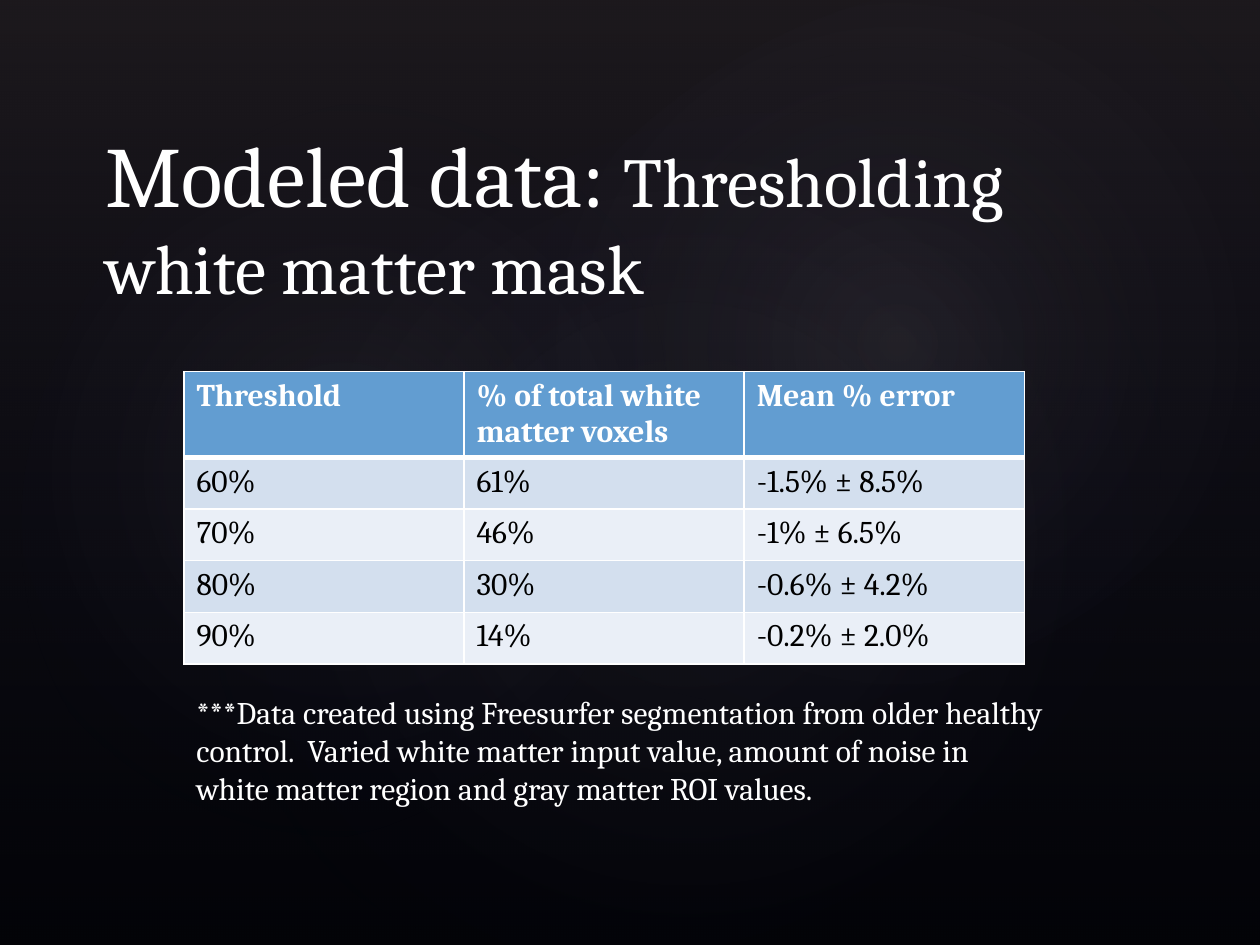
from dataclasses import dataclass

from lxml.etree import SubElement
from pptx import Presentation
from pptx.dml.color import RGBColor
from pptx.enum.shapes import MSO_SHAPE as Shape
from pptx.enum.text import MSO_ANCHOR as Anchor, MSO_AUTO_SIZE as AutoSize
from pptx.oxml import parse_xml
from pptx.oxml.ns import nsdecls, qn
from pptx.util import Inches, Pt


@dataclass(frozen=True)
class Theme:
    """Colours, font and type sizes of the slide."""
    font: str = "Cambria"
    backdrop: str = "000000"
    shade: str = "504652"
    navy: str = "242852"
    glow: str = "C4BCC6"
    light: str = "FFFFFF"
    dark: str = "000000"
    header: str = "629DD1"
    bands: tuple = ("D3DFEE", "EAEFF7")
    title: int = 49
    subtitle: int = 40
    body: int = 18


THEME = Theme()
LINEAR = '<a:lin ang="5400000" scaled="0"/>'
RADIAL = ('<a:path path="circle"><a:fillToRect l="50000" t="50000" '
          'r="50000" b="50000"/></a:path>')
GLOWS = [
    ((1.5, 1.14, 7.92, 6.24), 328.7, 7),
    ((-0.3, 1.28, 6.06, 4.9), 294.3, 8),
    ((3.58, 0.13, 7.09, 5.2), 328.7, 8),
]
RESULTS = [
    ("Threshold", "% of total white matter voxels", "Mean % error"),
    ("60%", "61%", "-1.5% ± 8.5%"),
    ("70%", "46%", "-1% ± 6.5%"),
    ("80%", "30%", "-0.6% ± 4.2%"),
    ("90%", "14%", "-0.2% ± 2.0%"),
]
FOOTNOTE = [
    "***Data created using Freesurfer segmentation from older healthy",
    "control.  Varied white matter input value, amount of noise in",
    "white matter region and gray matter ROI values.",
]


def add_run(paragraph, text, size, color=THEME.light, bold=False):
    """Append one formatted run."""
    run = paragraph.add_run()
    run.text = text
    run.font.name = THEME.font
    run.font.size = Pt(size)
    run.font.bold = bold
    run.font.color.rgb = RGBColor.from_string(color)


def add_wash(slide, preset, place, stops, direction, rotation=0):
    """Add a translucent gradient shape; stops are (position, colour, opacity)."""
    wash = slide.shapes.add_shape(preset, *map(Inches, place))
    wash.rotation = rotation
    wash.shadow.inherit = False
    wash.line.fill.background()
    wash.fill.gradient()
    stop_xml = "".join(
        f'<a:gs pos="{position * 1000}"><a:srgbClr val="{color}">'
        f'<a:alpha val="{opacity * 1000}"/></a:srgbClr></a:gs>'
        for position, color, opacity in stops)
    gradient = parse_xml(f'<a:gradFill {nsdecls("a")} rotWithShape="1">'
                         f'<a:gsLst>{stop_xml}</a:gsLst>{direction}</a:gradFill>')
    properties = wash._element.spPr
    properties.replace(properties.find(qn("a:gradFill")), gradient)


def add_backdrop(slide):
    """Paint the dark background with its soft glows."""
    fill = slide.background.fill
    fill.solid()
    fill.fore_color.rgb = RGBColor.from_string(THEME.backdrop)
    add_wash(slide, Shape.RECTANGLE, (0, 0, 10, 7.5),
             [(0, THEME.shade, 36), (100, THEME.navy, 10)], LINEAR)
    for place, rotation, opacity in GLOWS:
        add_wash(slide, Shape.OVAL, place,
                 [(0, THEME.glow, opacity), (58, THEME.navy, 0)],
                 RADIAL, rotation)


def set_borders(cell, top, bottom):
    """Draw white cell borders, with top and bottom widths in points."""
    properties = cell._tc.get_or_add_tcPr()
    widths = {"lnL": 1, "lnR": 1, "lnT": top, "lnB": bottom}
    for order, (side, width) in enumerate(widths.items()):
        border = SubElement(properties, qn(f"a:{side}"), w=str(Pt(width)))
        fill = SubElement(border, qn("a:solidFill"))
        SubElement(fill, qn("a:srgbClr"), val=THEME.light)
        properties.insert(order, border)


def add_results(slide):
    """Add the banded table of threshold results."""
    frame = slide.shapes.add_table(len(RESULTS), len(RESULTS[0]), Inches(1.46),
                                   Inches(2.95), Inches(6.67), Inches(2.32))
    table = frame.table
    for index, values in enumerate(RESULTS):
        heading = index == 0
        table.rows[index].height = Inches(0.68 if heading else 0.41)
        color = THEME.header if heading else THEME.bands[(index - 1) % 2]
        for cell, value in zip(table.rows[index].cells, values):
            cell.fill.solid()
            cell.fill.fore_color.rgb = RGBColor.from_string(color)
            set_borders(cell, 3 if index == 1 else 1, 3 if heading else 1)
            add_run(cell.text_frame.paragraphs[0], value, THEME.body,
                    THEME.light if heading else THEME.dark, heading)


def add_text(slide, place, lines, wrap=True, anchor=Anchor.TOP):
    """Add a text box; each line is a list of (text, size) runs."""
    frame = slide.shapes.add_textbox(*map(Inches, place)).text_frame
    frame.word_wrap = wrap
    frame.vertical_anchor = anchor
    frame.auto_size = AutoSize.NONE if wrap else AutoSize.SHAPE_TO_FIT_TEXT
    for index, runs in enumerate(lines):
        paragraph = frame.add_paragraph() if index else frame.paragraphs[0]
        for text, size in runs:
            add_run(paragraph, text, size)


def main():
    """Build and save the slide."""
    deck = Presentation()
    deck.slide_width, deck.slide_height = Inches(10), Inches(7.5)
    slide = deck.slides.add_slide(deck.slide_layouts[6])
    add_backdrop(slide)
    add_results(slide)
    add_text(slide, (0.74, 1.5, 8.25, 1),
             [[("Modeled data: ", THEME.title),
               ("Thresholding white matter mask", THEME.subtitle)]],
             anchor=Anchor.BOTTOM)
    add_text(slide, (1.46, 5.45, 7.53, 1.01),
             [[(line, THEME.body)] for line in FOOTNOTE], wrap=False)
    deck.save("out.pptx")


if __name__ == "__main__":
    main()
